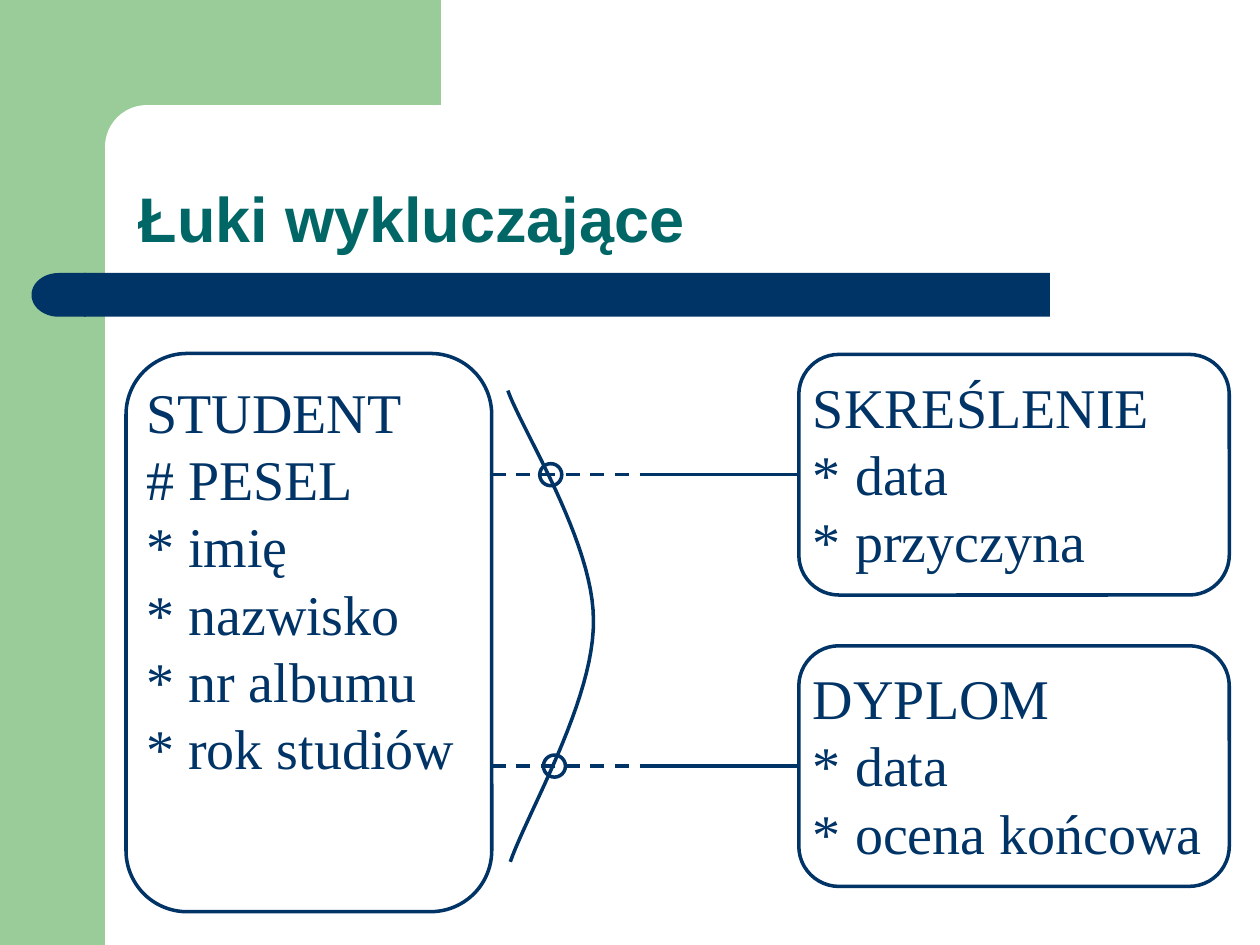
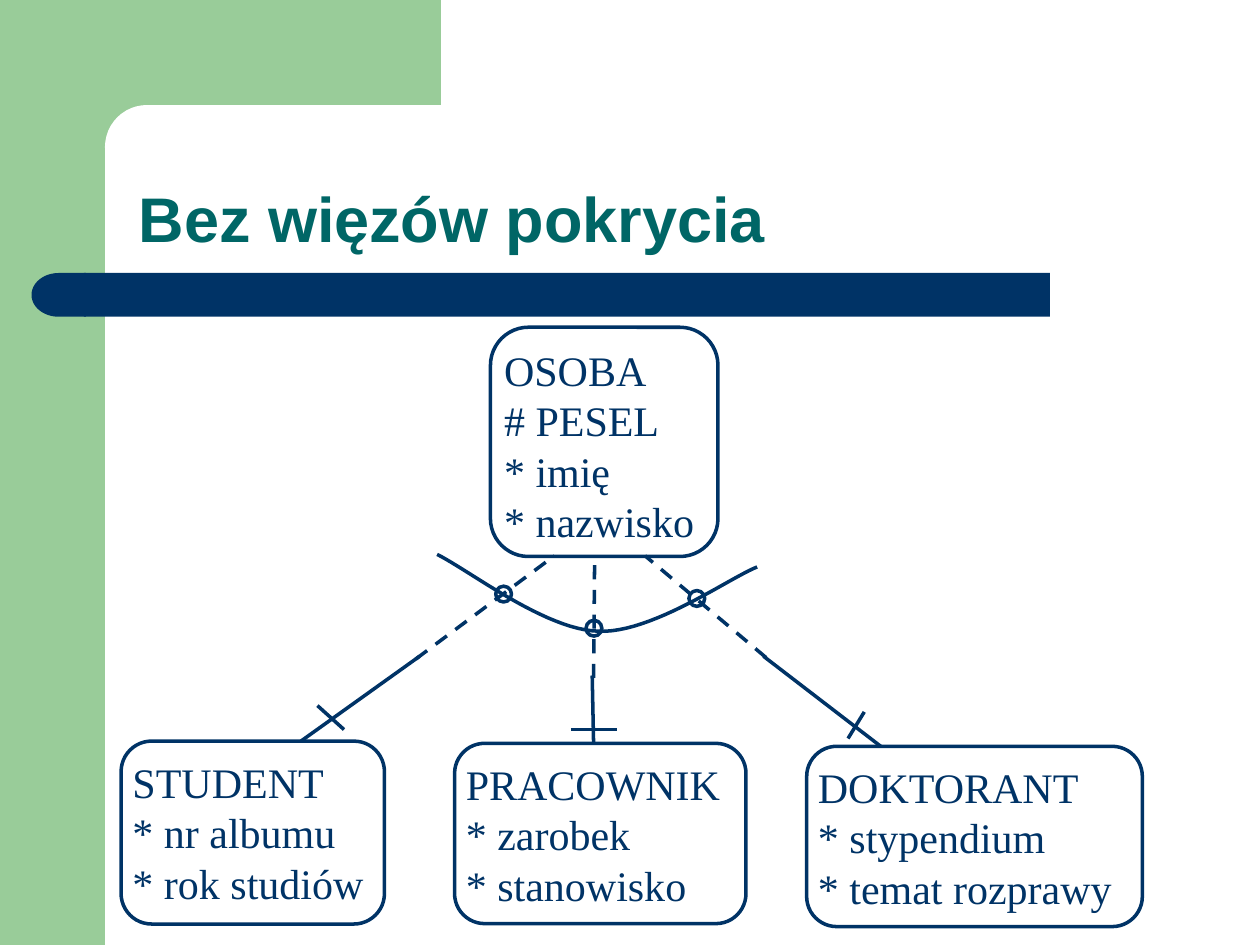
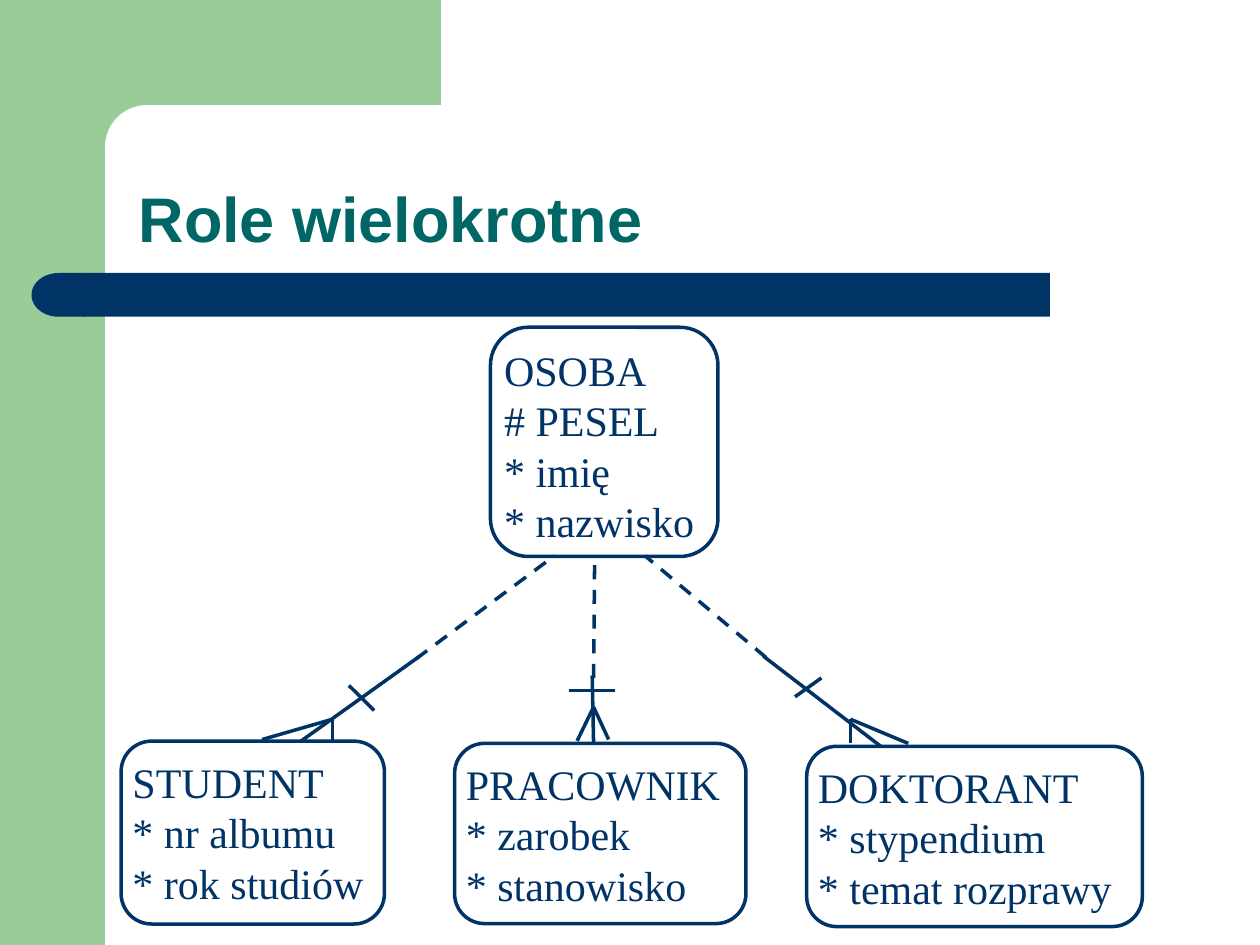
from dataclasses import dataclass

from lxml.etree import SubElement
from pptx import Presentation
from pptx.dml.color import RGBColor as Rgb
from pptx.enum.dml import MSO_LINE as Dash
from pptx.enum.shapes import MSO_CONNECTOR as Link, MSO_SHAPE as Kind
from pptx.enum.text import MSO_ANCHOR as Anchor, MSO_AUTO_SIZE as Fit, PP_ALIGN as Align
from pptx.oxml.ns import qn
from pptx.util import Pt


@dataclass(frozen=True)
class Theme:
    navy: Rgb = Rgb(0x00, 0x33, 0x66)
    teal: Rgb = Rgb(0x00, 0x66, 0x66)
    green: Rgb = Rgb(0x99, 0xCC, 0x99)
    white: Rgb = Rgb(0xFF, 0xFF, 0xFF)
    head: str = "Arial"
    body: str = "Times New Roman"
    title: int = 36
    large: int = 32
    small: int = 24
    stroke: int = 2


def write(frame, text, *, font, size, color, bold=False, gap=1.0):
    frame.text = text
    for para in frame.paragraphs:
        para.alignment = Align.LEFT
        para.line_spacing = gap
        para.font.name = font
        para.font.size = Pt(size)
        para.font.bold = bold
        para.font.color.rgb = color


def curve(points, steps=24):
    for start in range(0, len(points) - 1, 3):
        a, b, c, d = points[start:start + 4]
        for step in range(1, steps + 1):
            t = step / steps
            u = 1 - t
            yield tuple(
                Pt(u**3 * p + 3 * u * u * t * q + 3 * u * t * t * r + t**3 * s)
                for p, q, r, s in zip(a, b, c, d)
            )


class Deck:
    def __init__(self, theme):
        self.theme = theme
        self.file = Presentation()
        self.file.slide_width, self.file.slide_height = Pt(720), Pt(540)
        self.slide = None

    def page(self, text):
        layout = self.file.slide_layouts[5]
        first = self.slide is None
        self.slide = self.file.slides.add_slide(layout)
        if first:
            self.frame()
        title = self.slide.shapes.title
        title.left, title.top = Pt(72), Pt(60)
        title.width, title.height = Pt(630), Pt(90)
        frame = title.text_frame
        frame.auto_size = Fit.NONE
        frame.word_wrap = True
        frame.vertical_anchor = Anchor.BOTTOM
        look = self.theme
        write(frame, text, font=look.head, size=look.title, color=look.teal, bold=True, gap=0.9)

    def frame(self):
        look = self.theme
        parts = [
            self.shape(Kind.RECTANGLE, 0, 0, 60, 540, fill=look.green),
            self.shape(Kind.RECTANGLE, 54, 0, 198, 84, fill=look.green),
            self.shape(Kind.ROUNDED_RECTANGLE, 60, 60, 402, 48, fill=look.white, bend=0.5),
            self.shape(Kind.RECTANGLE, 48, 156, 552, 25, fill=look.navy),
            self.shape(Kind.FLOWCHART_DELAY, 18, 156, 31, 25, fill=look.navy),
        ]
        parts[-1].rotation = 180
        tree = self.file.slide_master.shapes.element
        for place, part in enumerate(parts, 2):
            tree.insert(place, part.element)

    def ink(self, line):
        line.color.rgb = self.theme.navy
        line.width = Pt(self.theme.stroke)

    def shape(self, kind, x, y, w, h, *, fill=None, edge=False, bend=None):
        item = self.slide.shapes.add_shape(kind, Pt(x), Pt(y), Pt(w), Pt(h))
        item.shadow.inherit = False
        if bend is not None:
            item.adjustments[0] = bend
        if fill is None:
            item.fill.background()
        else:
            item.fill.solid()
            item.fill.fore_color.rgb = fill
        if edge:
            self.ink(item.line)
        else:
            item.line.fill.background()
        return item

    def box(self, text, x, y, w, h, size):
        look = self.theme
        item = self.shape(Kind.ROUNDED_RECTANGLE, x, y, w, h, fill=look.white, edge=True, bend=0.167)
        frame = item.text_frame
        frame.word_wrap = False
        frame.vertical_anchor = Anchor.TOP
        frame.margin_left, frame.margin_right = Pt(1.4), Pt(7.2)
        frame.margin_top = frame.margin_bottom = Pt(3.6)
        write(frame, text, font=look.body, size=size, color=look.navy, gap=Pt(1.2 * size))
        return item

    def ring(self, x, y, size):
        self.shape(Kind.OVAL, x - size / 2, y - size / 2, size, size, edge=True)

    def line(self, start, end, dash=False):
        item = self.slide.shapes.add_connector(Link.STRAIGHT, *map(Pt, start + end))
        SubElement(item.element.spPr, qn("a:effectLst"))
        self.ink(item.line)
        if dash:
            item.line.dash_style = Dash.DASH
        return item

    def arc(self, *points):
        x, y = points[0]
        path = self.slide.shapes.build_freeform(Pt(x), Pt(y))
        path.add_line_segments(list(curve(points)), close=False)
        item = path.convert_to_shape()
        item.shadow.inherit = False
        item.fill.background()
        self.ink(item.line)


def arcs(deck):
    deck.page("Łuki wykluczające")
    size = deck.theme.large
    text = "STUDENT\n# PESEL\n* imię\n* nazwisko\n* nr albumu\n* rok studiów"
    deck.box(text, 72, 202, 209, 319, size)
    tall = 137.5
    rows = (
        ("SKREŚLENIE\n* data\n* przyczyna", 202.5, 314.7),
        ("DYPLOM\n* data\n* ocena końcowa", 369, 316.8),
    )
    for text, top, spot in rows:
        target = deck.box(text, 456.5, top, 246, tall, size)
        mid = top + tall / 2
        deck.line((281, mid), (366.5, mid), dash=True)
        deck.line((366.5, mid), (456.5, mid)).end_connect(target, 1)
        deck.ring(spot, mid, 12.6)
    deck.arc(
        (290.2, 223.2), (298.1, 245.5), (339.1, 309.6), (339.1, 354.2),
        (339.8, 399.6), (301.7, 463.7), (291.6, 492.5),
    )


def roles(deck, title, ticks):
    deck.page(title)
    boxes = (
        ("OSOBA\n# PESEL\n* imię\n* nazwisko", 280.3, 187, 130, 131),
        ("PRACOWNIK\n* zarobek\n* stanowisko", 259.8, 424.8, 166.5, 103),
        ("STUDENT\n* nr albumu\n* rok studiów", 69.2, 423.5, 150.5, 104.5),
        ("DOKTORANT\n* stypendium\n* temat rozprawy", 461, 426.5, 191.8, 103),
    )
    for args in boxes:
        deck.box(*args, deck.theme.small)
    solid = (
        ((239.8, 375), (172, 423.5)),
        ((338.4, 386), (339.2, 424.8)),
        ((436.3, 375), (503.3, 426.5)),
    )
    for ends in solid + ticks:
        deck.line(*ends)
    dashed = (
        ((237.6, 376.6), (316.8, 317.6)),
        ((339.2, 387.4), (339.8, 319)),
        ((437.8, 375.8), (368.6, 317.6)),
    )
    for ends in dashed:
        deck.line(*ends, dash=True)


def cover(deck):
    ticks = (
        ((181.4, 403.2), (196.6, 416.9)),
        ((326.2, 417), (352.8, 417)),
        ((484.6, 422), (493.9, 406.8)),
    )
    roles(deck, "Bez więzów pokrycia", ticks)
    deck.arc(
        (432.7, 324), (417.6, 329.8), (372.2, 362.2), (342, 360.7),
        (311.8, 360), (268.6, 326.2), (249.8, 316.8),
    )
    for x, y in ((287.8, 339.5), (339.4, 359), (398.2, 342)):
        deck.ring(x, y, 9)


def many(deck):
    ticks = (
        ((199.4, 391.7), (213.8, 406)),
        ((325.4, 394.6), (351.4, 394.6)),
        ((454.3, 398.2), (469.4, 387.4)),
    )
    roles(deck, "Role wielokrotne", ticks)
    feet = {
        (339.2, 404): ((339.2, 422.6), (329.8, 423.4), (347.8, 422.6)),
        (190, 411): ((190, 423.4), (149.8, 422.6)),
        (486, 411): ((486, 424.8), (519, 424.8)),
    }
    for heel, toes in feet.items():
        for toe in toes:
            deck.line(heel, toe)


def main():
    deck = Deck(Theme())
    arcs(deck)
    cover(deck)
    many(deck)
    deck.file.save("out.pptx")


if __name__ == "__main__":
    main()
